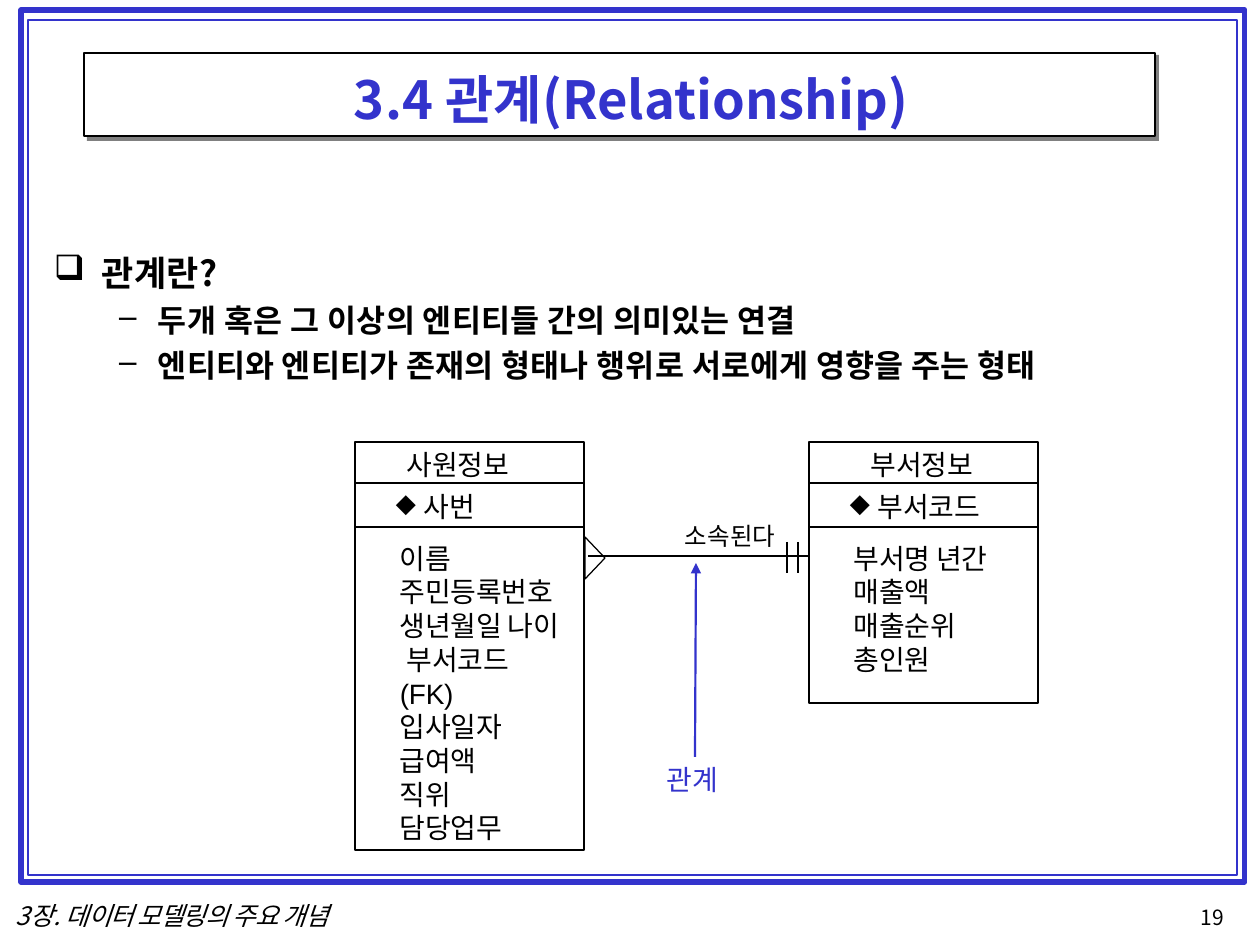
"""Build the slide on relationships between entities."""
from lxml.etree import SubElement
from pptx import Presentation
from pptx.dml.color import RGBColor as Rgb
from pptx.enum.shapes import MSO_CONNECTOR as Conn, MSO_SHAPE as Kind
from pptx.enum.text import MSO_ANCHOR as Anchor, PP_ALIGN as Align
from pptx.oxml.ns import qn
from pptx.util import Emu, Pt

BLUE = Rgb(0x33, 0x33, 0xCC)
BLACK = Rgb(0, 0, 0)
GRAY = Rgb(0x80, 0x80, 0x80)
KOREAN = "Noto Sans CJK KR"
SCALE = 914400 / 126
LEAD = 1.205

TITLE = [("3.4 ", 0.1), ("관계(Relationship)", 0)]
HEAD = [("관계란?", 0.1)]
POINTS = [
    [("두개 혹은 ", 0.2), ("그 ", 0.3), ("이상의 ", 0.2), ("엔티티들 ", 0.1),
     ("간의 ", 0.2), ("의미있는 연결", 0.1)],
    [("엔티티와 엔티티가 ", 0.1), ("존재의 ", 0.2), ("형태나 ", 0.1),
     ("행위로 ", 0.2), ("서로에게 ", 0.1), ("영향을 주는 ", 0.2), ("형태", 0.1)],
]
TABLES = [
    {"left": 355, "name": "사원정보", "dent": 52, "key": "사번", "tall": 323,
     "rows": [("이름", 0), ("주민등록번호", 0), ("생년월일 나이", 0),
              ("부서코드", 7), ("(FK)", 0), ("입사일자", 0), ("급여액", 0),
              ("직위", 0), ("담당업무", 0)]},
    {"left": 809, "name": "부서정보", "dent": 62, "key": "부서코드", "tall": 176,
     "rows": [("부서명 년간", 0), ("매출액", 0), ("매출순위", 0), ("총인원", 0)]},
]
TOP, WIDE, NAME_H, KEY_H = 442, 229, 41, 44
FRAMES = [((21, 10, 1224, 872), BLUE, 3), ((28, 20, 1209, 855), BLUE, 0.96),
          ((84, 53, 1071, 83), BLACK, 0.72)]
SHADE = [(1159, 55), (1155, 55), (1155, 136), (87, 136), (87, 141), (1159, 141)]
FORK = [(585, 537), (605, 558), (585, 579)]
LINES = [((588, 556), (809, 556), 0.72), ((787, 542), (787, 573), 0.96),
         ((798, 542), (798, 573), 0.96)]
ARROW = (695, 757), (696, 563)
NOTES = [
    ((665, 761, 60, 37), [("관계", -0.1)], 16, BLUE, False, LEAD * 16),
    ((683, 520, 102, 33), [("소속된다", 0)], 14, BLACK, False, LEAD * 14),
    ((14, 900, 353, 29), [("3장. ", -0.3), ("데이터 모델링의 주요 개념", -0.5)],
     14.5, BLACK, True, 16.6),
    ((1199, 905, 37, 24), [("19", 0)], 12, BLACK, False, 13.7),
]


def px(num):
    return Emu(round(num * SCALE))


def area(box):
    return [px(num) for num in box]


def frame(shape, inset=0):
    text = shape.text_frame
    text.word_wrap = True
    text.vertical_anchor = Anchor.TOP
    text.margin_left = text.margin_right = text.margin_bottom = 0
    text.margin_top = px(inset)
    return text


def write(text, runs, size, color=BLACK, bold=False, ital=False, dent=0,
          hang=0, mark=None, part=100, gap=0, lead=None, level=0):
    first = text.paragraphs[0]
    para = text.add_paragraph() if first.runs else first
    props = para._p.get_or_add_pPr()
    props.set("marL", str(px(dent)))
    props.set("indent", str(px(-hang)))
    if mark:
        SubElement(props, qn("a:buSzPct"), val=str(part * 1000))
        SubElement(props, qn("a:buChar"), char=mark)
    para.level = level
    para.alignment = Align.LEFT
    para.space_before = Pt(gap)
    para.line_spacing = Pt(lead or LEAD * size)
    for word, space in runs:
        run = para.add_run()
        run.text = word
        font = run.font
        font.size, font.bold, font.italic = Pt(size), bold, ital
        font.color.rgb = color
        font.name = "Arial" if word == "(FK)" else KOREAN
        look = run._r.get_or_add_rPr()
        look.set("spc", str(round(space * 100)))
        SubElement(look, qn("a:ea"), typeface=KOREAN)


def paint(shape, color, width, fill=None):
    shape.shadow.inherit = False
    if fill is None:
        shape.fill.background()
    else:
        shape.fill.solid()
        shape.fill.fore_color.rgb = fill
    if width:
        shape.line.color.rgb = color
        shape.line.width = Pt(width)
    else:
        shape.line.fill.background()
    return shape


def rect(shapes, box, color, width):
    return paint(shapes.add_shape(Kind.RECTANGLE, *area(box)), color, width)


def outline(shapes, spots, color, width, fill=None):
    form = shapes.build_freeform(*spots[0], scale=SCALE)
    form.add_line_segments(spots[1:], close=True)
    return paint(form.convert_to_shape(), color, width, fill)


def link(shapes, start, end, color, width):
    line = shapes.add_connector(Conn.STRAIGHT, *area(start + end))
    line.line.color.rgb = color
    line.line.width = Pt(width)
    SubElement(line._element.spPr, qn("a:effectLst"))
    return line


def entity(shapes, data):
    left, top = data["left"], TOP
    cells = []
    for high, inset in ((NAME_H, 5), (KEY_H, 6), (data["tall"], 14)):
        cell = rect(shapes, (left, top, WIDE, high), BLACK, 0.96)
        cells.append(frame(cell, inset))
        top += high
    name, key, body = cells
    write(name, [(data["name"], -0.1)], 16, dent=data["dent"])
    write(key, [(data["key"], -0.1)], 16, dent=69, hang=28, mark="◆", part=93)
    for word, shift in data["rows"]:
        write(body, [(word, -0.1)], 16, dent=45 + shift)


def main():
    deck = Presentation()
    deck.slide_width, deck.slide_height = px(1260), px(945)
    slide = deck.slides.add_slide(deck.slide_layouts[5])
    shapes = slide.shapes
    outline(shapes, SHADE, None, 0, GRAY)
    for box, color, width in FRAMES:
        rect(shapes, box, color, width)

    title = shapes.title
    title.left, title.top, title.width, title.height = area((84, 66, 1070, 67))
    write(frame(title, 1), TITLE, 30, BLUE, bold=True, dent=270)
    shapes._spTree.append(title._element)

    body = frame(shapes.add_textbox(*area((53, 241, 1053, 145))), 10)
    write(body, HEAD, 20, bold=True, dent=49, hang=48, mark="❑")
    for runs in POINTS:
        write(body, runs, 18, bold=True, dent=105, hang=39, mark="–",
              gap=4.3, level=1)

    for data in TABLES:
        entity(shapes, data)
    for start, end, width in LINES:
        link(shapes, start, end, BLACK, width)
    outline(shapes, FORK, BLACK, 0.72)
    arrow = link(shapes, *ARROW, BLUE, 1.25)
    SubElement(arrow.line._get_or_add_ln(), qn("a:tailEnd"), type="triangle")

    for box, runs, size, color, ital, lead in NOTES:
        note = frame(shapes.add_textbox(*area(box)), 1)
        write(note, runs, size, color, ital=ital, dent=2, lead=lead)
    deck.save("out.pptx")


if __name__ == "__main__":
    main()
